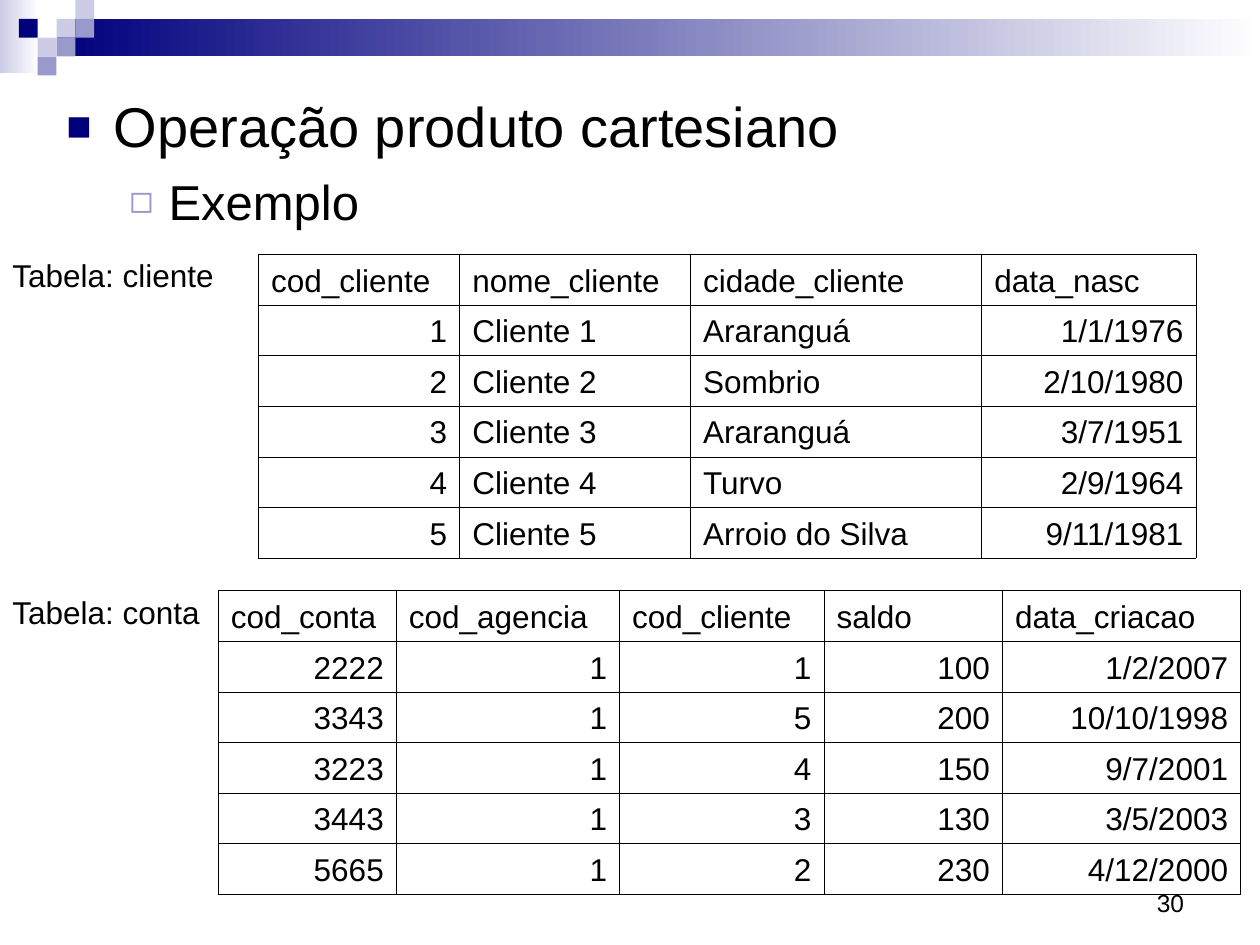
from lxml.etree import SubElement
from pptx import Presentation
from pptx.dml.color import RGBColor
from pptx.enum.shapes import MSO_SHAPE as Shape
from pptx.enum.text import MSO_ANCHOR as Anchor, PP_ALIGN as Align
from pptx.oxml.ns import qn
from pptx.util import Cm, Pt

NAVY, LILAC, PALE, WHITE, BLACK = "00007D", "9999CC", "CCCCE6", "FFFFFF", "000000"
SQUARE = 0.38
ROW_HEIGHT = 1.02

CLIENTE = [
    ("cod_cliente", "nome_cliente", "cidade_cliente", "data_nasc"),
    ("1", "Cliente 1", "Araranguá", "1/1/1976"),
    ("2", "Cliente 2", "Sombrio", "2/10/1980"),
    ("3", "Cliente 3", "Araranguá", "3/7/1951"),
    ("4", "Cliente 4", "Turvo", "2/9/1964"),
    ("5", "Cliente 5", "Arroio do Silva", "9/11/1981"),
]
CONTA = [
    ("cod_conta", "cod_agencia", "cod_cliente", "saldo", "data_criacao"),
    ("2222", "1", "1", "100", "1/2/2007"),
    ("3343", "1", "5", "200", "10/10/1998"),
    ("3223", "1", "4", "150", "9/7/2001"),
    ("3443", "1", "3", "130", "3/5/2003"),
    ("5665", "1", "2", "230", "4/12/2000"),
]


def color(value):
    return RGBColor.from_string(value)


def write(paragraph, text, size, **formats):
    """Put one run in the paragraph; formats are paragraph attributes."""
    run = paragraph.add_run()
    run.text = text
    for name, value in {"name": "Arial", "size": Pt(size)}.items():
        setattr(run.font, name, value)
    run.font.color.rgb = color(BLACK)
    for name, value in formats.items():
        setattr(paragraph, name, value)


def add_text_frame(slide, left, top, width, height, **formats):
    box = slide.shapes.add_textbox(Cm(left), Cm(top), Cm(width), Cm(height))
    for name, value in {"word_wrap": True, **formats}.items():
        setattr(box.text_frame, name, value)
    return box.text_frame


def add_block(slide, left, top, width, height, *colors):
    """Rectangle in one colour, or fading from left to right between two."""
    block = slide.shapes.add_shape(
        Shape.RECTANGLE, Cm(left), Cm(top), Cm(width), Cm(height))
    block.shadow.inherit = False
    block.line.fill.background()
    if len(colors) == 1:
        block.fill.solid()
        block.fill.fore_color.rgb = color(colors[0])
        return
    block.fill.gradient()
    block.fill.gradient_angle = 0
    for stop, shade in zip(block.fill.gradient_stops, colors):
        stop.color.rgb = color(shade)


def add_header(slide, left, top, width):
    # Fading bands
    add_block(slide, left, top, 0.79, 1.47, PALE, WHITE)
    add_block(slide, left + 3 * SQUARE, top + SQUARE,
              width - 3 * SQUARE, 2 * SQUARE, NAVY, WHITE)
    # Mosaic squares: column, row, colour
    for column, row, shade in [(3, 1, PALE), (4, 0, PALE), (4, 1, LILAC), (2, 2, PALE),
                               (1, 1, NAVY), (3, 2, LILAC), (2, 3, LILAC)]:
        add_block(slide, left + column * SQUARE, top + row * SQUARE,
                  SQUARE, SQUARE, shade)


def add_bullet(paragraph, symbol, shade, percent, margin, hanging):
    properties = paragraph._p.get_or_add_pPr()
    properties.set("marL", str(Cm(margin)))
    properties.set("indent", str(-Cm(hanging)))
    bullet_color = SubElement(properties, qn("a:buClr"))
    SubElement(bullet_color, qn("a:srgbClr"), val=shade)
    SubElement(properties, qn("a:buSzPct"), val=str(percent * 1000))
    SubElement(properties, qn("a:buFont"), typeface="Arial")
    SubElement(properties, qn("a:buChar"), char=symbol)


def add_topics(slide, left, top, width, height):
    frame = add_text_frame(slide, left, top, width, height)
    topic, example = frame.paragraphs[0], frame.add_paragraph()
    write(topic, "Operação produto cartesiano", 32, space_before=Pt(8))
    add_bullet(topic, "■", NAVY, 75, 0.95, 0.95)
    write(example, "Exemplo", 28, space_before=Pt(7), level=1)
    add_bullet(example, "◻", LILAC, 80, 2.06, 0.79)


def add_borders(cell):
    properties = cell._tc.get_or_add_tcPr()
    for side in ("lnL", "lnR", "lnT", "lnB"):
        line = SubElement(properties, qn(f"a:{side}"), w=str(Pt(0.45)))
        fill = SubElement(line, qn("a:solidFill"))
        SubElement(fill, qn("a:srgbClr"), val=BLACK)


def add_data_table(slide, left, top, widths, records):
    table = slide.shapes.add_table(
        len(records), len(widths), Cm(left), Cm(top),
        Cm(sum(widths)), Cm(ROW_HEIGHT * len(records))).table
    for name in ("first_row", "horz_banding"):
        setattr(table, name, False)
    for column, width in zip(table.columns, widths):
        column.width = Cm(width)
    for row, record in zip(table.rows, records):
        row.height = Cm(ROW_HEIGHT)
        for cell, value in zip(row.cells, record):
            add_borders(cell)
            cell.fill.background()
            cell.vertical_anchor = Anchor.BOTTOM
            # Numbers and dates go to the right
            side = Align.RIGHT if value[0].isdigit() else Align.LEFT
            write(cell.text_frame.paragraphs[0], value, 18, alignment=side)


def add_label(slide, left, top, width, text):
    frame = add_text_frame(slide, left, top, width, ROW_HEIGHT, word_wrap=False)
    write(frame.paragraphs[0], text, 18)


def add_page_number(slide, left, top, width, height, number):
    frame = add_text_frame(slide, left, top, width, height,
                           vertical_anchor=Anchor.BOTTOM)
    write(frame.paragraphs[0], number, 14, alignment=Align.RIGHT)


def main():
    deck = Presentation()
    deck.slide_width, deck.slide_height = Cm(25.4), Cm(19.05)
    slide = deck.slides.add_slide(deck.slide_layouts[6])

    add_header(slide, 0, 0, 25.4)
    add_page_number(slide, 18.2, 17.35, 5.92, 1.27, "30")
    add_topics(slide, 1.09, 1.73, 23.34, 3.4)

    # Account table
    add_data_table(slide, 4.4, 11.91, (3.59, 4.5, 4.12, 3.6, 4.8), CONTA)
    add_label(slide, 0, 11.84, 4.34, "Tabela: conta")

    # Client table
    add_label(slide, 0, 5.03, 4.62, "Tabela: cliente")
    add_data_table(slide, 5.21, 5.13, (4.06, 4.65, 5.87, 4.32), CLIENTE)

    deck.save("out.pptx")


if __name__ == "__main__":
    main()
